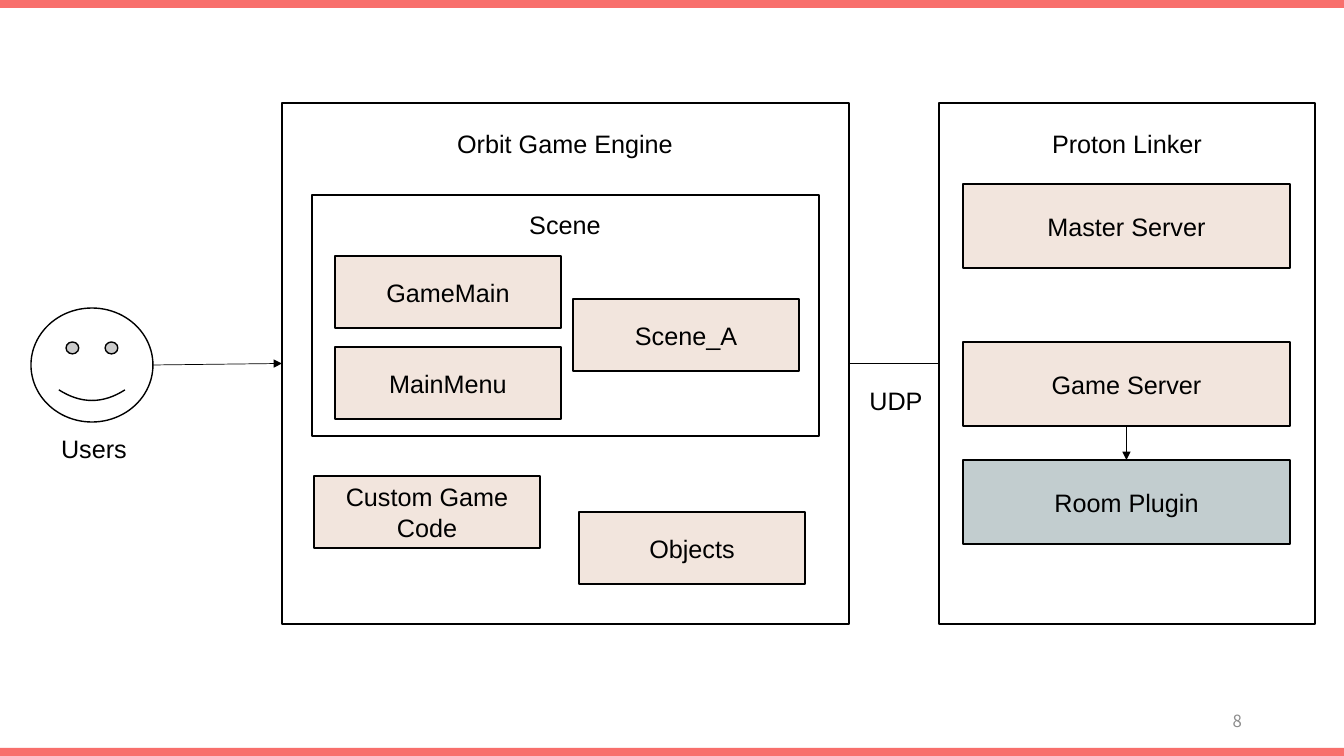
from lxml import etree
from pptx import Presentation
from pptx.dml.color import RGBColor
from pptx.enum import shapes, text
from pptx.oxml.ns import qn
from pptx.util import Emu, Pt

PX = 914400 / 100.8
WIDTH, HEIGHT = 1344, 756

CORAL = RGBColor(0xF8, 0x6F, 0x6C)
WHITE = RGBColor(0xFF, 0xFF, 0xFF)
BLACK = RGBColor(0, 0, 0)
GREY = RGBColor(0x8C, 0x8C, 0x8C)
BEIGE = RGBColor(0xF2, 0xE5, 0xDD)
TEAL = RGBColor(0xC2, 0xCD, 0xCF)

KIND = shapes.MSO_SHAPE
ALIGN = text.PP_ALIGN
MIDDLE = text.MSO_ANCHOR.MIDDLE
TOP, LEFT, BOTTOM, RIGHT = range(4)  # connection sites of a box
PART_SIZE = (226, 72)
SERVER_SIZE = (327, 84)


def px(*lengths):
    return [Emu(round(n * PX)) for n in lengths]


def write(sp, words, size=18, font="Arial", color=BLACK, align=ALIGN.CENTER):
    tf = sp.text_frame
    tf.word_wrap = True
    tf.text = words
    p = tf.paragraphs[0]
    p.alignment = align
    p.font.size = Pt(size)
    p.font.name = font
    p.font.color.rgb = color
    return tf


def add_shape(slide, kind, box, fill, outlined=True):
    sp = slide.shapes.add_shape(kind, *px(*box))
    sp.shadow.inherit = False
    sp.fill.solid()
    sp.fill.fore_color.rgb = fill
    if outlined:
        sp.line.color.rgb = BLACK
        sp.line.width = Pt(1)
    else:
        sp.line.fill.background()
    return sp


def add_box(slide, box, words=None, fill=WHITE):
    sp = add_shape(slide, KIND.FLOWCHART_PROCESS, box, fill)
    if words:
        write(sp, words).vertical_anchor = MIDDLE
    return sp


def add_label(slide, center, top, words, width=260, **style):
    box = px(center - width / 2, top, width, 40)
    return write(slide.shapes.add_textbox(*box), words, **style)


def add_link(slide, start, end, arrow=True):
    """Each end is a (shape, site) pair or an (x, y) point."""
    line = slide.shapes.add_connector(shapes.MSO_CONNECTOR.STRAIGHT, 0, 0, 0, 0)
    if isinstance(start[0], int):
        line.begin_x, line.begin_y = px(*start)
    else:
        line.begin_connect(*start)
    line.end_connect(*end)
    line.line.color.rgb = BLACK
    line.line.width = Pt(0.5)
    if arrow:
        etree.SubElement(line.line._get_or_add_ln(), qn("a:tailEnd"), type="triangle")
    etree.SubElement(line._element.spPr, qn("a:effectLst"))


def main():
    prs = Presentation()
    prs.slide_width, prs.slide_height = px(WIDTH, HEIGHT)
    slide = prs.slides.add_slide(prs.slide_layouts[6])

    # Edge bars and page number
    for top in (0, HEIGHT - 8):
        add_shape(slide, KIND.RECTANGLE, (0, top, WIDTH, 8), CORAL, outlined=False)
    number = add_label(slide, 1101, 701, "8", width=302, size=12,
                       font="Noto Sans CJK KR", color=GREY, align=ALIGN.RIGHT)
    number.vertical_anchor = MIDDLE

    # Users
    add_shape(slide, KIND.SMILEY_FACE, (31, 308, 122, 114), WHITE)
    add_label(slide, 94, 428, "Users")

    # Game engine with its scene
    engine = add_box(slide, (282, 103, 567, 521))
    add_label(slide, 565, 123, "Orbit Game Engine", width=281)
    add_box(slide, (312, 195, 507, 241))
    add_label(slide, 565, 204, "Scene")
    for words, left, top in (
        ("GameMain", 335, 256),
        ("MainMenu", 335, 347),
        ("Scene_A", 573, 299),
        ("Custom Game Code", 314, 476),
        ("Objects", 579, 512),
    ):
        add_box(slide, (left, top, *PART_SIZE), words, BEIGE)

    # Network service with its servers
    network = add_box(slide, (939, 103, 376, 521))
    add_label(slide, 1127, 123, "Proton Linker")
    servers = {
        words: add_box(slide, (963, top, *SERVER_SIZE), words, fill)
        for words, top, fill in (
            ("Master Server", 184, BEIGE),
            ("Game Server", 342, BEIGE),
            ("Room Plugin", 460, TEAL),
        )
    }

    # Links
    add_link(slide, (153, 365), (engine, LEFT))
    add_link(slide, (engine, RIGHT), (network, LEFT), arrow=False)
    add_link(slide, (servers["Game Server"], BOTTOM), (servers["Room Plugin"], TOP))
    add_label(slide, 896, 380, "UDP")

    prs.save("out.pptx")


main()
